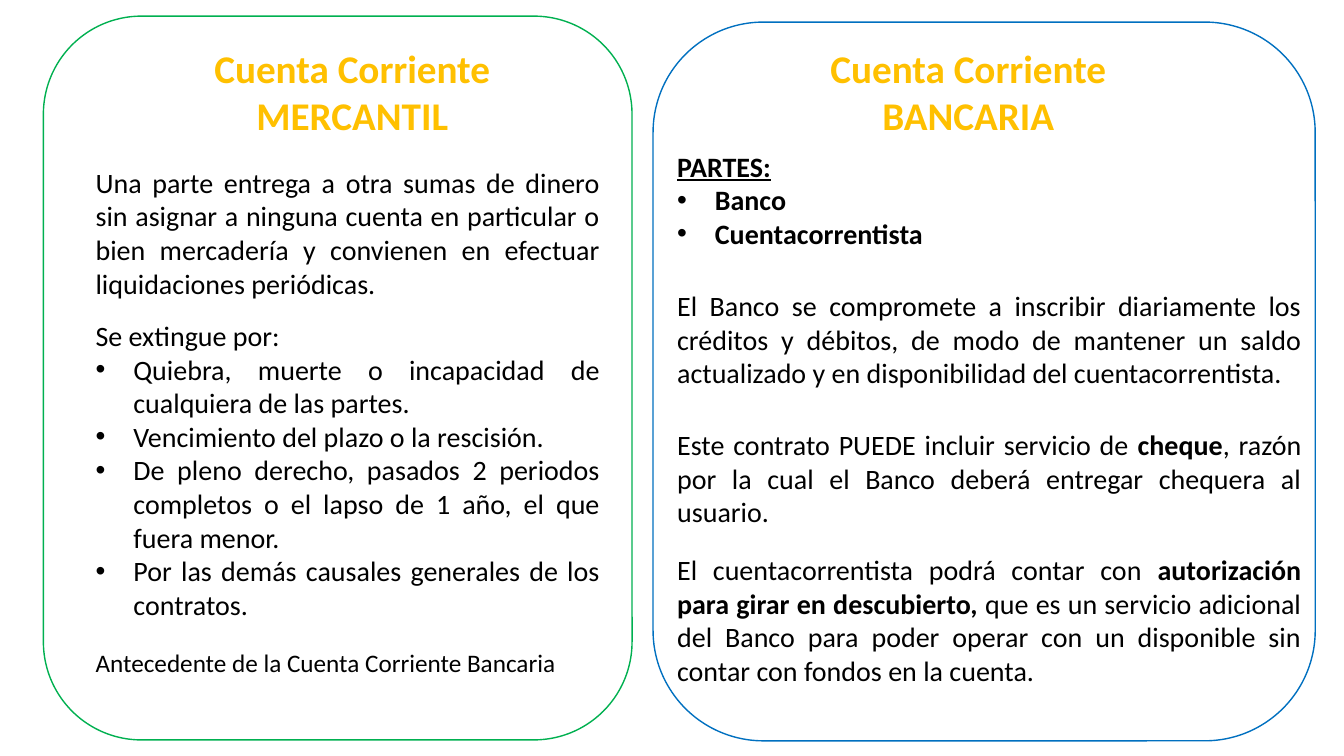
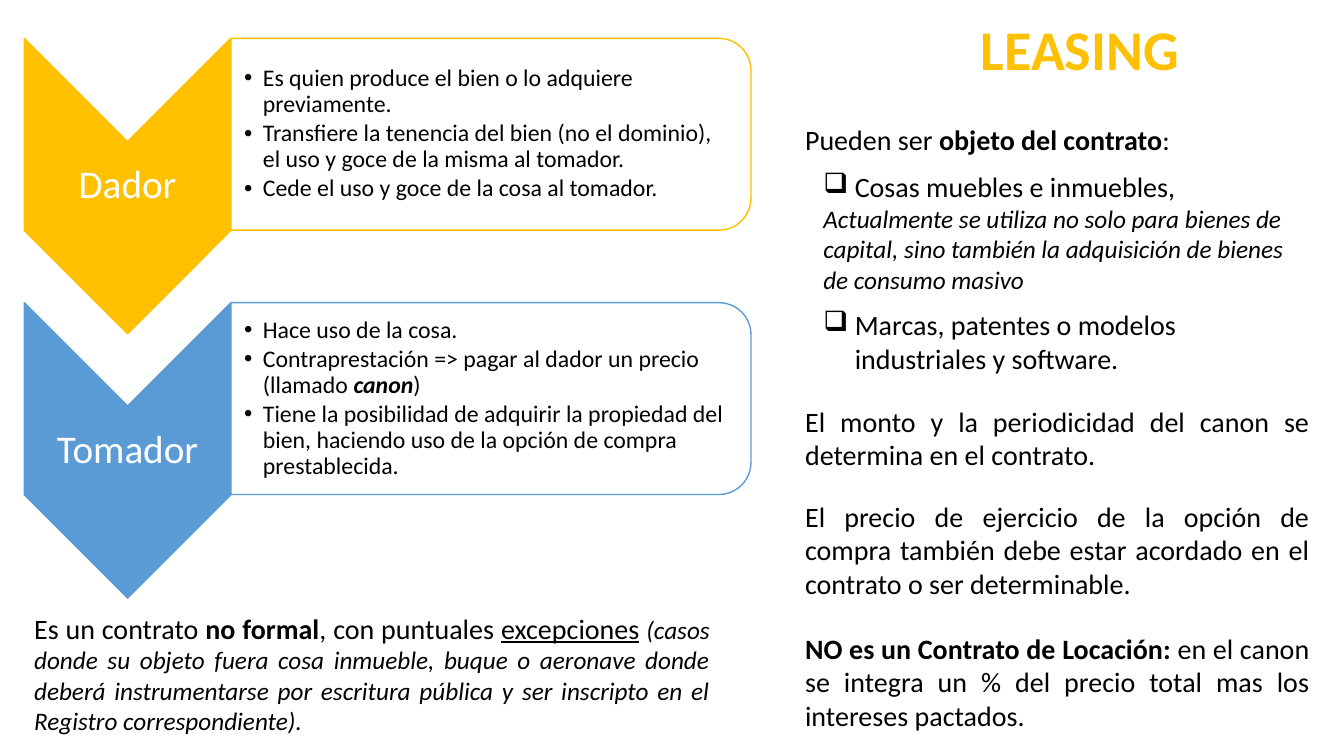
from lxml.etree import SubElement
from pptx import Presentation
from pptx.dml.color import RGBColor
from pptx.enum.shapes import MSO_SHAPE
from pptx.enum.text import MSO_ANCHOR, PP_ALIGN
from pptx.oxml.ns import qn
from pptx.util import Pt

FONT = "Calibri"
COLORS = {"gold": "FFC000", "green": "00B050", "navy": "0070C0",
          "blue": "5B9BD5", "black": "000000", "white": "FFFFFF"}
ALIGN = {"l": PP_ALIGN.LEFT, "c": PP_ALIGN.CENTER, "j": PP_ALIGN.JUSTIFY}
SMALL = 18
INSET = (7.2, 3.6, 7.2, 3.6)

# kind: (left margin, first indent, bullet, bullet font, space before)
KINDS = {
    "plain": (0, 0, None, None, 0),
    "dot": (27, -27, "•", "Arial", 0),
    "point": (13.5, -13.5, "•", "Arial", 0),
    "box": (35.5, -22.5, "❑", None, 9.8),
    "note": (13, 0, None, None, 0),
}

HEADS = [
    ((134.6, 28, 234, 75), ["Cuenta Corriente", "MERCANTIL"]),
    ((574.6, 28, 234, 75), ["Cuenta Corriente", "BANCARIA"]),
]
FRAMES = [
    ((31, 11.5, 420.5, 517), "green"),
    ((466.5, 15.8, 473, 513.4), "navy"),
]
LEFT, RIGHT = (61.2, 374.4), (476.6, 460)
ACCOUNTS = [
    (RIGHT, 103, 80, 20, "j", [
        ("plain", [("PARTES:", "bu")]),
        ("dot", [("Banco", "b")]),
        ("dot", [("Cuentacorrentista", "b")])]),
    (LEFT, 114.5, 104.4, 20, "j", [
        ("plain", [("Una parte entrega a otra sumas de dinero sin asignar a ninguna cuenta en "
                    "particular o bien mercadería y convienen en efectuar liquidaciones "
                    "periódicas.", "")])]),
    (LEFT, 224, 225.4, 20, "j", [
        ("plain", [("Se extingue por:", "")]),
        ("dot", [("Quiebra, muerte o incapacidad de cualquiera de las partes.", "")]),
        ("dot", [("Vencimiento del plazo o la rescisión.", "")]),
        ("dot", [("De pleno derecho, pasados 2 periodos completos o el lapso de 1 año, "
                  "el que fuera menor.", "")]),
        ("dot", [("Por las demás causales generales de los contratos.", "")])]),
    (LEFT, 458.6, 29, SMALL, "j", [
        ("plain", [("Antecedente de la Cuenta Corriente Bancaria", "")])]),
    (RIGHT, 202.5, 80, 20, "j", [
        ("plain", [("El Banco se compromete a inscribir diariamente los créditos y débitos, de "
                    "modo de mantener un saldo actualizado y en disponibilidad del "
                    "cuentacorrentista.", "")])]),
    (RIGHT, 302, 80, 20, "j", [
        ("plain", [("Este contrato PUEDE incluir servicio de ", ""), ("cheque", "b"),
                   (", razón por la cual el Banco deberá entregar chequera al usuario.", "")])]),
    (RIGHT, 391.2, 104.4, 20, "j", [
        ("plain", [("El cuentacorrentista podrá contar con ", ""),
                   ("autorización para girar en descubierto,", "b"),
                   (" que es un servicio adicional del Banco para poder operar con un "
                    "disponible sin contar con fondos en la cuenta.", "")])]),
]

SIDE, FOOT = (568, 374.4), (17.3, 496.8)
LEASING = [
    (SIDE, 84, 189.4, 20, "l", [
        ("plain", [("Pueden ser ", ""), ("objeto del contrato", "b"), (":", "")]),
        ("box", [("Cosas muebles e inmuebles,", "")]),
        ("note", [("Actualmente se utiliza no solo para bienes de capital, sino también la "
                   "adquisición de bienes de consumo masivo", "is")]),
        ("box", [("Marcas, patentes o modelos industriales y software.", "")])]),
    (FOOT, 433, 97.2, 20, "j", [
        ("plain", [("Es un contrato ", ""), ("no formal", "b"), (", con puntuales ", ""),
                   ("excepciones", "u"), (" ", ""),
                   ("(casos donde su objeto fuera cosa inmueble, buque o aeronave donde "
                    "deberá instrumentarse por escritura pública y ser inscripto en el "
                    "Registro correspondiente).", "is")])]),
    (SIDE, 285.2, 55.4, 20, "j", [
        ("plain", [("El monto y la periodicidad del canon se determina en el contrato.", "")])]),
    (SIDE, 353, 80, 20, "j", [
        ("plain", [("El precio de ejercicio de la opción de compra también debe estar "
                    "acordado en el contrato o ser determinable.", "")])]),
    (SIDE, 447.4, 80, 20, "j", [
        ("plain", [("NO es un Contrato de Locación: ", "b"),
                   ("en el canon se integra un % del precio total mas los intereses "
                    "pactados.", "")])]),
]
ROLES = [
    ("Dador", "gold", [
        [("Es quien produce el bien o lo adquiere previamente.", "")],
        [("Transfiere la tenencia del bien (no el dominio),\nel uso y goce de la misma al "
          "tomador.", "")],
        [("Cede el uso y goce de la cosa al tomador.", "")]]),
    ("Tomador", "blue", [
        [("Hace uso de la cosa.", "")],
        [("Contraprestación => pagar al dador un precio (llamado ", ""), ("canon", "bi"),
         (")", "")],
        [("Tiene la posibilidad de adquirir la propiedad del bien, haciendo uso de la "
          "opción de compra prestablecida.", "")]]),
]


def paint(color):
    return RGBColor.from_string(COLORS[color])


def place(shape, box):
    shape.left, shape.top, shape.width, shape.height = map(Pt, box)


def write(shape, paras, size, align="l", color="black", inset=INSET,
          anchor=MSO_ANCHOR.TOP, lead=1.0, after=0):
    frame = shape.text_frame
    frame.word_wrap = True
    frame.vertical_anchor = anchor
    (frame.margin_left, frame.margin_top,
     frame.margin_right, frame.margin_bottom) = map(Pt, inset)
    for n, (kind, runs) in enumerate(paras):
        para = frame.add_paragraph() if n else frame.paragraphs[0]
        margin, indent, mark, face, before = KINDS[kind]
        para.alignment = ALIGN[align]
        para.line_spacing = lead
        para.space_before, para.space_after = Pt(before), Pt(after)
        props = para._p.get_or_add_pPr()
        props.set("marL", str(Pt(margin)))
        props.set("indent", str(Pt(indent)))
        if face:
            SubElement(props, qn("a:buFont"), typeface=face)
        if mark:
            SubElement(props, qn("a:buChar"), char=mark)
        for text, style in runs:
            for k, part in enumerate(text.split("\n")):
                if k:
                    para.add_line_break()
                run = para.add_run()
                run.text = part
                font = run.font
                font.name = FONT
                font.size = Pt(SMALL if "s" in style else size)
                font.color.rgb = paint(color)
                font.bold, font.italic = "b" in style, "i" in style
                font.underline = "u" in style


def label(slide, box, paras, size, **look):
    shape = slide.shapes.add_textbox(*map(Pt, box))
    write(shape, paras, size, **look)


def head(slide, box, lines, size, align, title=True):
    shape = slide.shapes.title if title else slide.shapes.add_textbox(0, 0, 0, 0)
    place(shape, box)
    write(shape, [("plain", [(line, "b")]) for line in lines], size, align, "gold")


def body(slide, blocks):
    for (x, w), y, h, size, align, paras in blocks:
        label(slide, (x, y, w, h), paras, size, align=align)


def draw(slide, kind, box, line, fill=None, turn=False):
    x, y, w, h = box
    if turn:
        x, y, w, h = x + (w - h) / 2, y + (h - w) / 2, h, w
    shape = slide.shapes.add_shape(kind, *map(Pt, (x, y, w, h)))
    shape.rotation = 90 if turn else 0
    shape.shadow.inherit = False
    shape.line.color.rgb = paint(line)
    shape.line.width = Pt(1)
    if fill:
        shape.fill.solid()
        shape.fill.fore_color.rgb = paint(fill)
    else:
        shape.fill.background()


deck = Presentation()
deck.slide_width, deck.slide_height = Pt(960), Pt(540)
layout = deck.slide_layouts[5]

slide = deck.slides.add_slide(layout)
for n, (box, lines) in enumerate(HEADS):
    head(slide, box, lines, 28, "c", title=n == 0)
body(slide, ACCOUNTS)
for box, line in FRAMES:
    draw(slide, MSO_SHAPE.ROUNDED_RECTANGLE, box, line)

slide = deck.slides.add_slide(layout)
head(slide, (693.4, 6.5, 249, 55.4), ["LEASING"], 40, "l")
body(slide, LEASING)
X, TOP, STEP = 17.3, 27.4, 188.8
WIDE, TALL, DEEP, LONG = 147.6, 211, 137, 371.5
for n, (name, color, points) in enumerate(ROLES):
    y = TOP + n * STEP
    edge = X + WIDE
    draw(slide, MSO_SHAPE.CHEVRON, (X, y, WIDE, TALL), color, color, True)
    label(slide, (X, y + WIDE / 2, WIDE, TALL - WIDE), [("plain", [(name, "")])], 28,
          align="c", color="white", inset=(1.4,) * 4, anchor=MSO_ANCHOR.MIDDLE, lead=0.9)
    draw(slide, MSO_SHAPE.ROUND_2_SAME_RECTANGLE, (edge, y, LONG, DEEP), color, "white", True)
    label(slide, (edge, y + 6.5, LONG - 7, DEEP - 13), [("point", runs) for runs in points], 17,
          inset=(9.4, 0.7, 0.7, 0.7), anchor=MSO_ANCHOR.MIDDLE, lead=0.9, after=2.6)

deck.save("out.pptx")
